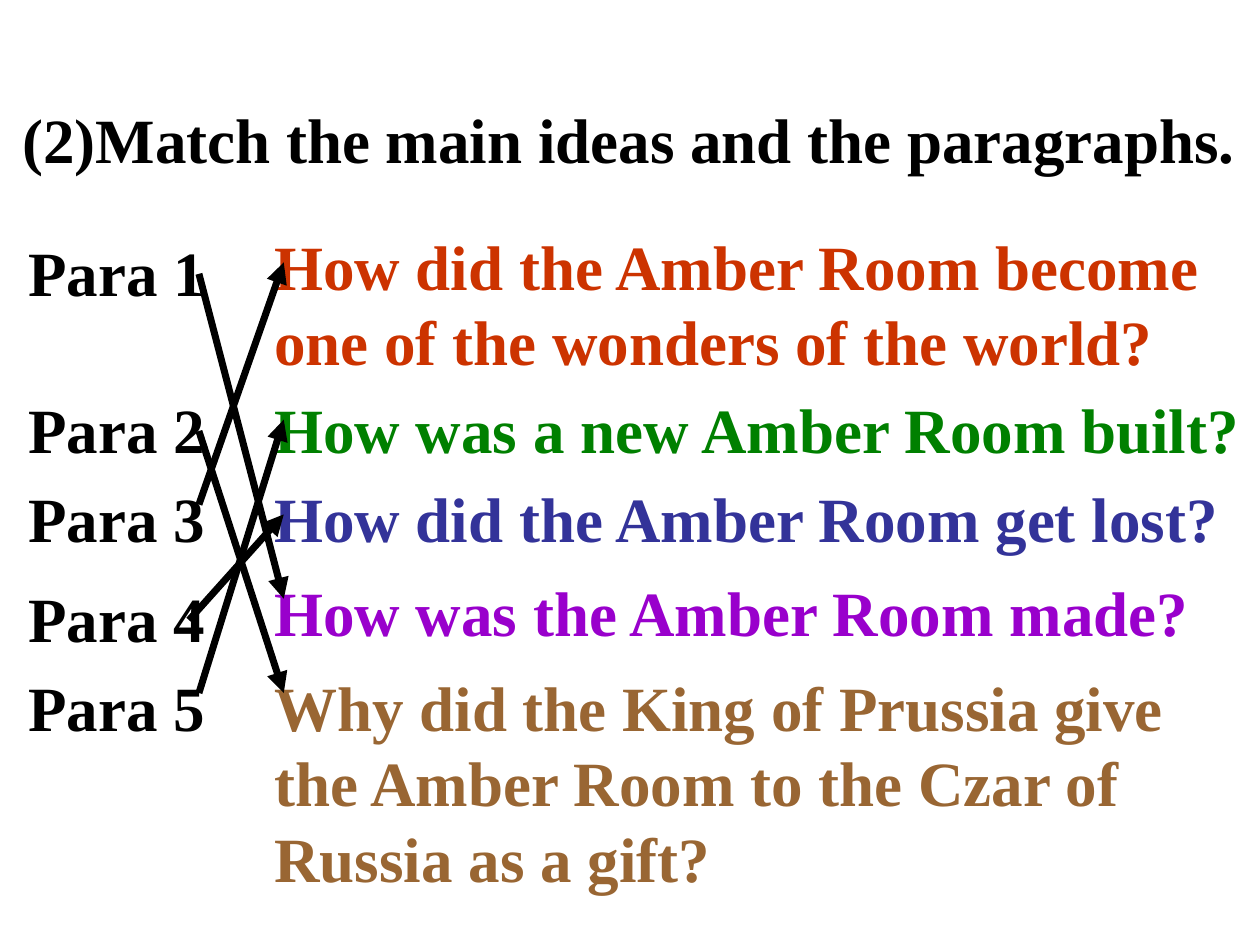
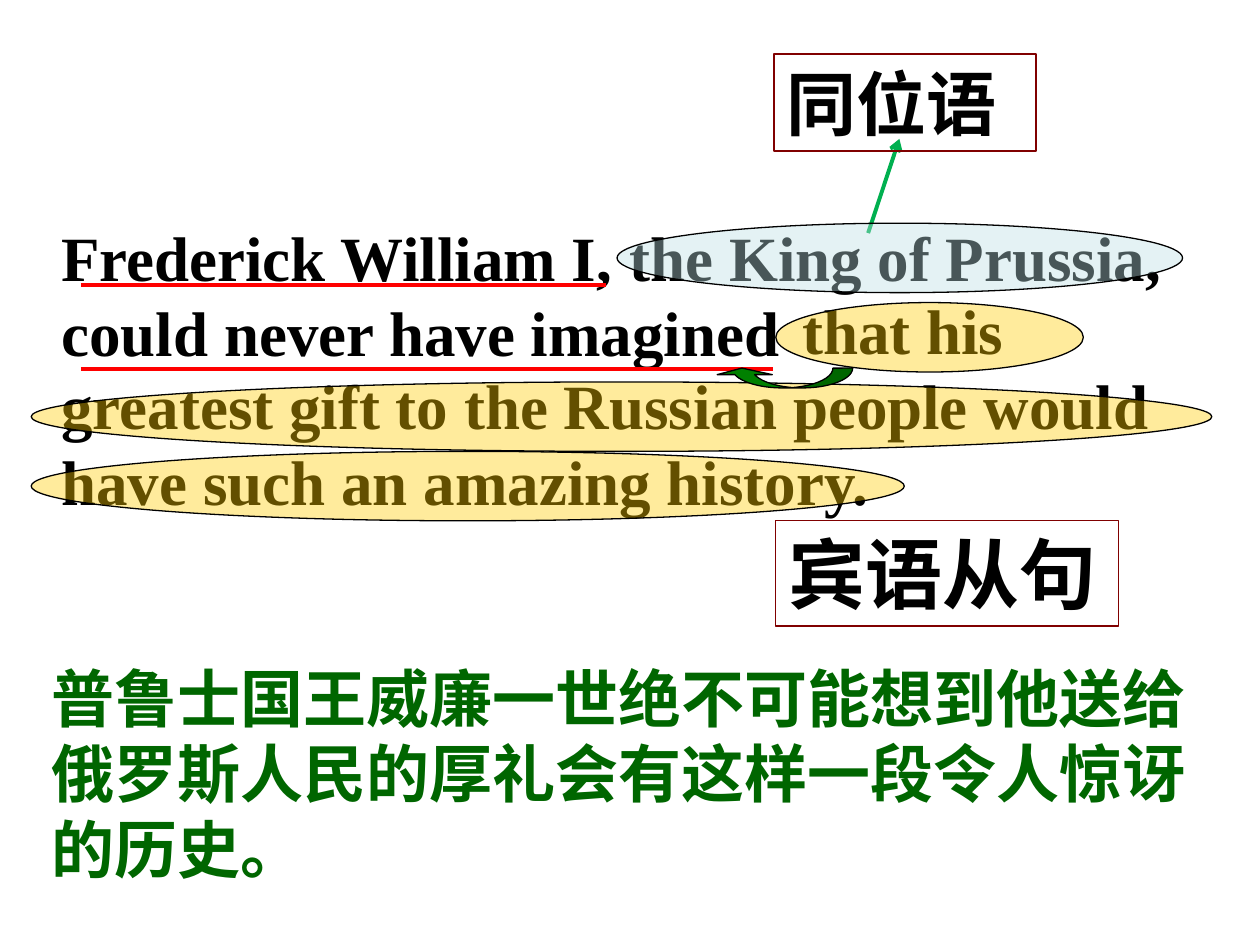
from lxml.etree import SubElement
from pptx import Presentation
from pptx.dml.color import RGBColor
from pptx.enum.shapes import MSO_CONNECTOR, MSO_SHAPE
from pptx.enum.text import MSO_ANCHOR, PP_ALIGN
from pptx.oxml.ns import qn
from pptx.util import Cm, Pt

COLORS = {
    "ink": "000000", "red": "CC3300", "green": "008000", "blue": "333399",
    "violet": "9900CC", "brown": "996633", "underline": "FF0000",
    "pointer": "00B050", "frame": "800000", "translation": "006600",
    "clause": "FFCC00", "appositive": "BBE0E3",
}
SERIF, SANS = "Times New Roman", "Arial"
LINE_FACTOR = 1.2

QUESTIONS = [
    (0, "red", "How did the Amber Room become\none of the wonders of the world?"),
    (3.3, "green", "How was a new Amber Room built?"),
    (5.08, "blue", "How did the Amber Room get lost?"),
    (6.99, "violet", "How was the Amber Room made?"),
    (8.89, "brown", "Why did the King of Prussia give\nthe Amber Room to the Czar of\nRussia as a gift?"),
]
PARAGRAPH_TOPS = [0.13, 3.3, 5.08, 7.11, 8.89]
MATCHES = [
    (4.01, 1.07, 5.72, 7.62),
    (4.01, 4.24, 5.72, 9.52),
    (4.01, 5.72, 5.72, 0.84),
    (4.01, 9.52, 5.72, 4.01),
    (3.81, 8.05, 5.72, 5.92),
]
SENTENCE = [
    (0.36, 0, 16, "Frederick William I,\ncould never have imagined"),
    (11.81, 0, 12, "the King of Prussia,"),
    (15.29, 1.47, 7, "that his"),
    (0.36, 2.99, 23.5, "greatest gift to the Russian people would\nhave such an amazing history."),
]
UNDERLINES = [(1, 1.47, 11.58), (1, 3.17, 14.96)]
HIGHLIGHTS = [
    (15.01, 1.83, 6.2, "clause"),
    (0, 3.43, 23.8, "clause"),
    (0, 4.83, 17.6, "clause"),
    (11.81, 0.23, 11.4, "appositive"),
]


def rgb(name):
    return RGBColor.from_string(COLORS[name])


def write(holder, wording, color="ink", size=36, font=SERIF):
    frame = holder.text_frame
    frame.word_wrap = True
    frame.vertical_anchor = MSO_ANCHOR.TOP
    frame.margin_left = frame.margin_right = Cm(0.25)
    frame.margin_top = frame.margin_bottom = Cm(0.13)
    frame.text = wording
    for paragraph in frame.paragraphs:
        paragraph.alignment = PP_ALIGN.LEFT
        paragraph.space_before = Pt(0)
        paragraph.line_spacing = Pt(size * LINE_FACTOR)
        for run in paragraph.runs:
            run.font.name = font
            run.font.size = Pt(size)
            run.font.bold = True
            run.font.color.rgb = rgb(color)
    return frame


def add_text(slide, box, wording, color="ink"):
    return write(slide.shapes.add_textbox(*map(Cm, box)), wording, color)


def add_line(slide, ends, color, width, head=None):
    line = slide.shapes.add_connector(MSO_CONNECTOR.STRAIGHT, *map(Cm, ends))
    line.line.color.rgb = rgb(color)
    line.line.width = Pt(width)
    if head:
        SubElement(line._element.spPr.find(qn("a:ln")), qn("a:tailEnd"), type=head)
    SubElement(line._element.spPr, qn("a:effectLst"))


def add_outlined(slide, kind, box, fill=None, line="ink", width=0.75):
    shape = slide.shapes.add_shape(kind, *map(Cm, box))
    shape.shadow.inherit = False
    shape.line.color.rgb = rgb(line)
    shape.line.width = Pt(width)
    if fill:
        shape.fill.solid()
        shape.fill.fore_color.rgb = rgb(fill)
    else:
        shape.fill.background()
    return shape


def add_label(slide, box, wording, size, width):
    label = add_outlined(slide, MSO_SHAPE.RECTANGLE, box, line="frame", width=width)
    write(label, wording, size=size, font=SANS)


def add_highlight(slide, box, color):
    ellipse = add_outlined(slide, MSO_SHAPE.OVAL, box, color)
    tint = ellipse._element.spPr.find(qn("a:solidFill"))[0]
    SubElement(tint, qn("a:alpha"), val="39000")


def place_title(slide, box, wording):
    title = slide.shapes.title
    title.left, title.top, title.width, title.height = map(Cm, box)
    write(title, wording)


def matching_exercise(slide, left, top):
    for offset, color, question in QUESTIONS:
        height = 1.78 + 1.52 * question.count("\n")
        add_text(slide, (left + 5.28, top + offset, 20.12, height), question, color)
    for number, offset in enumerate(PARAGRAPH_TOPS, 1):
        frame = add_text(slide, (left, top + offset, 4.88, 1.78), f"Para {number}")
        frame.margin_left = Cm(0.57)
    for x1, y1, x2, y2 in MATCHES:
        add_line(slide, (left + x1, top + y1, left + x2, top + y2), "ink", 4, "triangle")


def sentence_analysis(slide, left, top):
    for x, y, width, wording in SENTENCE:
        height = 1.78 + 1.52 * wording.count("\n")
        add_text(slide, (left + x, top + y, width, height), wording)
    for x, y, end in UNDERLINES:
        add_line(slide, (left + x, top + y, left + end, top + y), "underline", 2.25)
    add_line(slide, (left + 16.87, top + 0.43, left + 17.5, top - 1.47), "pointer", 2.25, "arrow")
    add_label(slide, (left + 14.97, top - 3.18, 5.28, 1.96), "同位语", 40, 1.25)
    add_label(slide, (left + 15.01, top + 6.22, 6.91, 2.13), "宾语从句", 44, 0.75)
    for x, y, width, color in HIGHLIGHTS:
        add_highlight(slide, (left + x, top + y, width, 1.4), color)
    link = add_outlined(slide, MSO_SHAPE.CURVED_DOWN_ARROW,
                        (left + 13.77, top + 3.15, 2.79, 0.4), "green")
    link.rotation = 180
    for index, ratio in enumerate((1.39, 2.78, 0.33)):
        link.adjustments[index] = ratio


def translation(slide, box):
    add_text(slide, box, "普鲁士国王威廉一世绝不可能想到他送给俄罗斯人民的厚礼会有这样一段令人惊讶的历史。", "translation")


def main():
    deck = Presentation()
    deck.slide_width, deck.slide_height = Cm(25.4), Cm(19.05)
    title_only, blank = deck.slide_layouts[5], deck.slide_layouts[6]

    matching = deck.slides.add_slide(title_only)
    place_title(matching, (0.2, 1.9, 25.2, 1.78), "(2)Match the main ideas and the paragraphs.")
    matching_exercise(matching, 0, 4.45)

    grammar = deck.slides.add_slide(blank)
    sentence_analysis(grammar, 0.63, 4.27)
    translation(grammar, (0.79, 13.16, 24.2, 4.83))

    deck.save("out.pptx")


if __name__ == "__main__":
    main()
